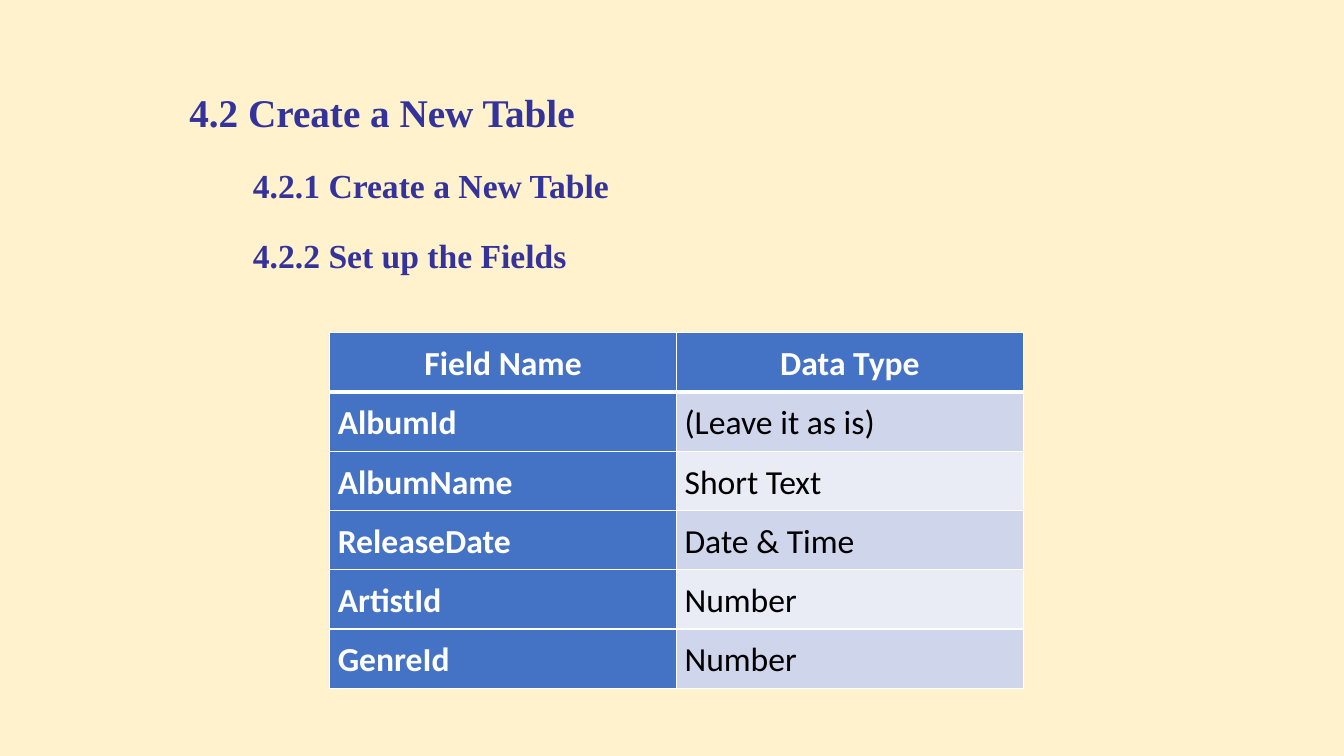
from dataclasses import dataclass

from lxml import etree
from pptx import Presentation
from pptx.dml.color import RGBColor
from pptx.enum import text
from pptx.oxml import ns
from pptx.util import Inches, Pt

COLORS = {
    "background": "FFF2CC",
    "heading": "33339B",
    "header": "4472C4",
    "dark_band": "CFD5EA",
    "light_band": "E9EBF5",
    "white": "FFFFFF",
    "black": "000000",
}


@dataclass
class Heading:
    words: str
    left: float
    top: float
    width: float
    height: float
    size: int


HEADINGS = [
    Heading("4.2 Create a New Table", 1.78, 0.83, 4.06, 0.57, 28),
    Heading("4.2.1 Create a New Table", 2.41, 1.59, 3.77, 0.5, 24),
    Heading("4.2.2 Set up the Fields", 2.41, 2.28, 3.34, 0.5, 24),
]

FIELDS = [
    ("Field Name", "Data Type"),
    ("AlbumId", "(Leave it as is)"),
    ("AlbumName", "Short Text"),
    ("ReleaseDate", "Date & Time"),
    ("ArtistId", "Number"),
    ("GenreId", "Number"),
]
COLUMN_WIDTH = 3.44
ROW_HEIGHT = 0.57
CELL_MARGIN = 0.08


def color(name: str) -> RGBColor:
    return RGBColor.from_string(COLORS[name])


def style_font(font, name: str, size: int, color_name: str, bold: bool) -> None:
    font.name = name
    font.size = Pt(size)
    font.bold = bold
    font.color.rgb = color(color_name)


def add_heading(page, heading: Heading) -> None:
    box = page.shapes.add_textbox(Inches(heading.left), Inches(heading.top),
                                  Inches(heading.width), Inches(heading.height))
    frame = box.text_frame
    frame.text = heading.words
    frame.word_wrap = False
    frame.auto_size = text.MSO_AUTO_SIZE.SHAPE_TO_FIT_TEXT
    span = frame.paragraphs[0].runs[0]
    style_font(span.font, "Times New Roman", heading.size, "heading", True)


def set_borders(cell, top: int, bottom: int) -> None:
    """Draw white cell borders, with top and bottom widths in points."""
    properties = cell._tc.get_or_add_tcPr()
    for side, width in {"L": 1, "R": 1, "T": top, "B": bottom}.items():
        line = etree.SubElement(properties, ns.qn(f"a:ln{side}"), w=str(Pt(width)))
        fill = etree.SubElement(line, ns.qn("a:solidFill"))
        etree.SubElement(fill, ns.qn("a:srgbClr"), val=COLORS["white"])


def fill_cell(cell, words: str, row: int, column: int) -> None:
    is_header = row == 0
    is_label = is_header or column == 0
    set_borders(cell, top=3 if row == 1 else 1, bottom=3 if is_header else 1)
    band = "dark_band" if row % 2 else "light_band"
    cell.fill.solid()
    cell.fill.fore_color.rgb = color("header" if is_label else band)
    cell.margin_left = cell.margin_right = Inches(CELL_MARGIN)
    cell.margin_top = cell.margin_bottom = Inches(CELL_MARGIN)
    cell.text_frame.text = words
    para = cell.text_frame.paragraphs[0]
    para.alignment = text.PP_ALIGN.CENTER if is_header else text.PP_ALIGN.LEFT
    para.line_spacing = 1.07
    style_font(para.runs[0].font, "Calibri", 24,
               "white" if is_label else "black", is_label)


def add_field_table(page, left: float, top: float) -> None:
    rows, columns = len(FIELDS), len(FIELDS[0])
    table = page.shapes.add_table(rows, columns, Inches(left), Inches(top),
                                  Inches(columns * COLUMN_WIDTH),
                                  Inches(rows * ROW_HEIGHT)).table
    for row, entries in enumerate(FIELDS):
        table.rows[row].height = Inches(ROW_HEIGHT)
        for column, words in enumerate(entries):
            fill_cell(table.cell(row, column), words, row, column)


def main() -> None:
    deck = Presentation()
    deck.slide_width = Inches(13.33)
    deck.slide_height = Inches(7.5)
    page = deck.slides.add_slide(deck.slide_layouts[6])
    page.background.fill.solid()
    page.background.fill.fore_color.rgb = color("background")
    for heading in HEADINGS:
        add_heading(page, heading)
    add_field_table(page, 3.27, 3.3)
    deck.save("out.pptx")


if __name__ == "__main__":
    main()
